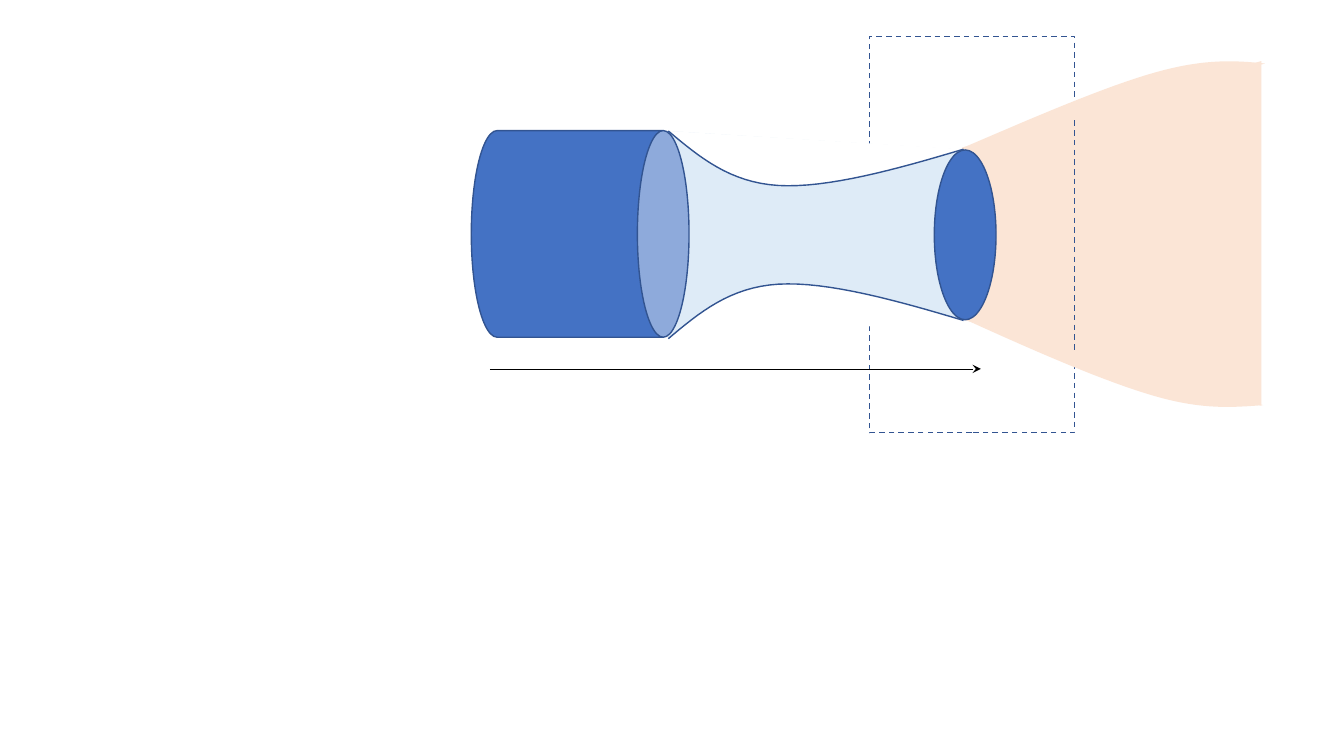
"""Builds a slide showing a cylinder, a tapering funnel and a spreading plume."""
from dataclasses import dataclass

from lxml.etree import SubElement
from pptx import Presentation
from pptx.dml.color import RGBColor
from pptx.enum.dml import MSO_LINE
from pptx.enum.shapes import MSO_CONNECTOR, MSO_SHAPE as SHAPE
from pptx.oxml.ns import qn
from pptx.util import Pt


@dataclass(frozen=True)
class Theme:
    body: str = "4472C4"
    edge: str = "325491"
    funnel: str = "DEEBF7"
    plume: str = "FBE5D6"
    paper: str = "FFFFFF"
    arrow: str = "000000"
    edge_width: float = 1
    arrow_width: float = 0.5


THEME = Theme()
CURVE_STEPS = 16
FUNNEL_AXIS = 167.76
FUNNEL_TOP = [(477.4, 93.6), (499.7, 112.3), (521.3, 130.3), (555.8, 132.5),
              (591.1, 134.6), (640.1, 121), (688.3, 106.6)]
PLUME_TOP = [(689, 105.1), (739.4, 83.5), (789.1, 61.9), (825.1, 51.8),
             (860.4, 41.8), (882, 43.2), (903.6, 45.4)]
PLUME_BOTTOM = [(691.2, 229), (740.2, 251.3), (789.8, 272.9), (825.1, 283),
                (859.7, 293), (881.3, 290.9), (902.2, 289.4)]


def paint(shape, fill=None, edge=None):
    shape.shadow.inherit = False
    if fill:
        shape.fill.solid()
        shape.fill.fore_color.rgb = RGBColor.from_string(fill)
    else:
        shape.fill.background()
    if edge:
        shape.line.color.rgb = RGBColor.from_string(edge)
        shape.line.width = Pt(THEME.edge_width)
    else:
        shape.line.fill.background()


def add_solid(slide, kind, box, fill=None, edge=None, rotation=0, taper=None):
    solid = slide.shapes.add_shape(kind, *map(Pt, box))
    solid.rotation = rotation
    if taper is not None:
        solid.adjustments[0] = taper
    paint(solid, fill, edge)
    return solid


def curve_points(knots):
    points = [knots[0]]
    for start in range(0, len(knots) - 1, 3):
        a, b, c, d = knots[start:start + 4]
        for step in range(1, CURVE_STEPS + 1):
            t = step / CURVE_STEPS
            u = 1 - t
            weights = (u ** 3, 3 * u * u * t, 3 * u * t * t, t ** 3)
            points.append(tuple(sum(w * p for w, p in zip(weights, axis))
                                for axis in zip(a, b, c, d)))
    return points


def add_curve(slide, knots, fill, edge=None):
    first, *rest = [(Pt(x), Pt(y)) for x, y in curve_points(knots)]
    builder = slide.shapes.build_freeform(*first)
    builder.add_line_segments(rest, close=False)
    paint(builder.convert_to_shape(), fill, edge)


def add_arrow(slide, left, right, y):
    arrow = slide.shapes.add_connector(
        MSO_CONNECTOR.STRAIGHT, Pt(left), Pt(y), Pt(right), Pt(y))
    arrow.line.color.rgb = RGBColor.from_string(THEME.arrow)
    arrow.line.width = Pt(THEME.arrow_width)
    SubElement(arrow.line._get_or_add_ln(), qn("a:tailEnd"), type="stealth")
    SubElement(arrow._element.spPr, qn("a:effectLst"))


def main():
    deck = Presentation()
    deck.slide_width, deck.slide_height = Pt(960), Pt(540)
    slide = deck.slides.add_slide(deck.slide_layouts[6])

    add_solid(slide, SHAPE.TRAPEZOID, (671, 59.8, 246.2, 213.8),
              THEME.plume, rotation=270, taper=0.289)
    region = add_solid(slide, SHAPE.RECTANGLE, (621.1, 26.2, 146.5, 283),
                       edge=THEME.edge)
    region.line.dash_style = MSO_LINE.DASH

    add_solid(slide, SHAPE.TRAPEZOID, (509, 61.9, 147.6, 211),
              THEME.funnel, rotation=90, taper=0.091)
    funnel_bottom = [(x, 2 * FUNNEL_AXIS - y) for x, y in FUNNEL_TOP]
    for side in (FUNNEL_TOP, funnel_bottom):
        add_curve(slide, side, THEME.paper, THEME.edge)
    add_solid(slide, SHAPE.OVAL, (667.4, 107.1, 44.1, 121.3),
              THEME.body, THEME.edge)
    add_solid(slide, SHAPE.CAN, (340.6, 89.3, 147.6, 155.5),
              THEME.body, THEME.edge, rotation=90)

    for side in (PLUME_TOP, PLUME_BOTTOM):
        add_curve(slide, side, THEME.plume)
    add_arrow(slide, 349.9, 700.6, 263.5)
    deck.save("out.pptx")


if __name__ == "__main__":
    main()
